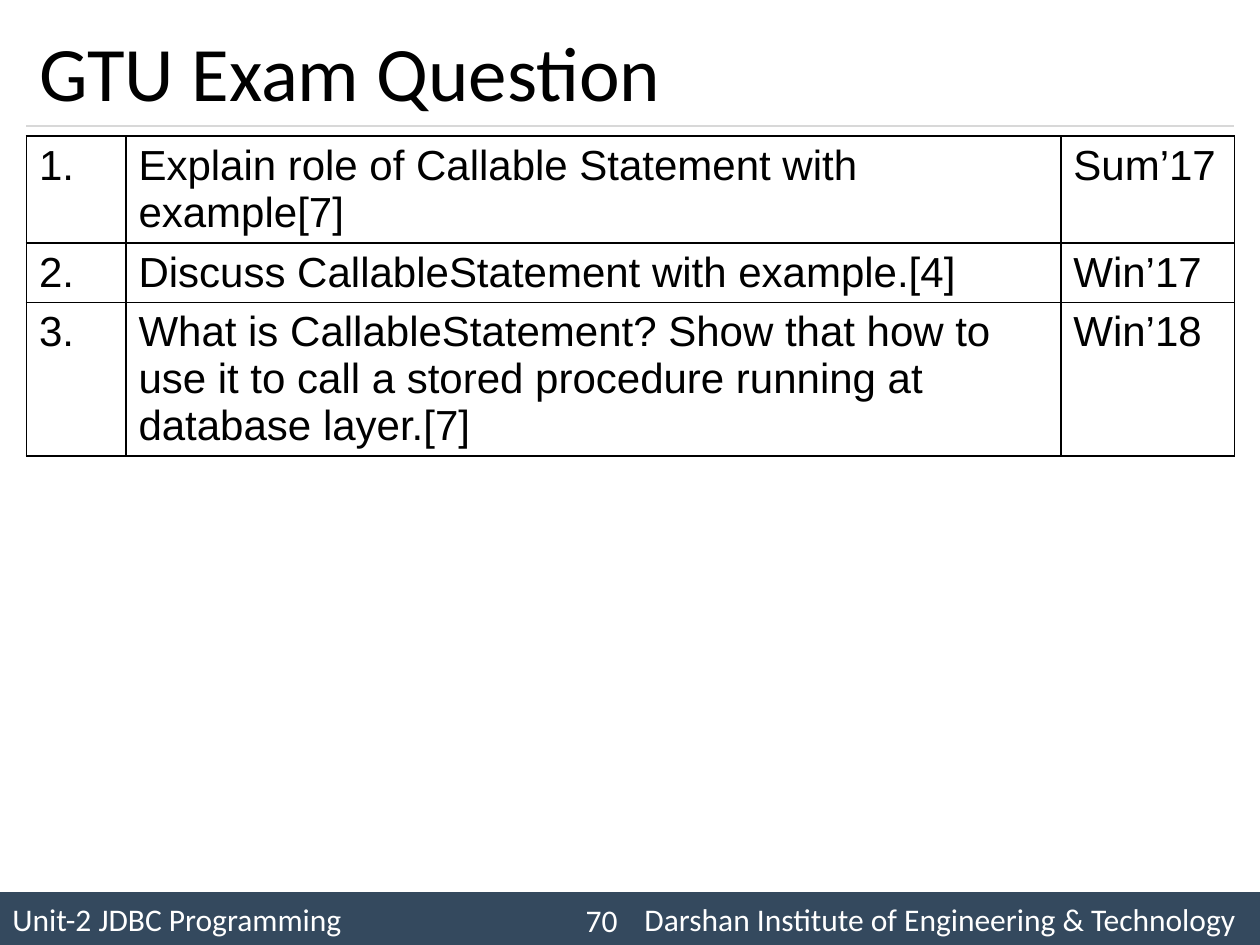
"""Build the exam question slide with its table and footer bar."""
from lxml import etree
from pptx import Presentation
from pptx.dml.color import RGBColor
from pptx.enum.shapes import MSO_CONNECTOR, MSO_SHAPE
from pptx.enum.text import MSO_ANCHOR, PP_ALIGN
from pptx.oxml.ns import qn
from pptx.util import Inches, Pt

LEFT, RIGHT = PP_ALIGN.LEFT, PP_ALIGN.RIGHT
MIDDLE = MSO_ANCHOR.MIDDLE
RECTANGLE = MSO_SHAPE.RECTANGLE
STRAIGHT = MSO_CONNECTOR.STRAIGHT

WIDTH, HEIGHT = 10, 7.5
MARGIN = 0.21
RULE_TOP = 1
TABLE_TOP = 1.08
FOOTER_HEIGHT = 0.42
BLACK, WHITE, NAVY, GREY = "000000", "FFFFFF", "34495E", "D8D8D8"

TITLE = "GTU Exam Question"
QUESTIONS = [
    ("1.", "Explain role of Callable Statement with example[7]", "Sum’17"),
    ("2.", "Discuss CallableStatement with example.[4]", "Win’17"),
    ("3.", "What is CallableStatement? Show that how to use it to call a stored "
           "procedure running at database layer.[7]", "Win’18"),
]
COLUMN_WIDTHS = [0.79, 7.42, 1.38]
ROW_HEIGHTS = [0.85, 0.47, 1.21]
UNIT = "Unit-2 JDBC Programming"
INSTITUTE = "Darshan Institute of Engineering & Technology"
PAGE_NUMBER = "70"


def color(value):
    return RGBColor.from_string(value)


def write(text_frame, text, size, font_name, font_color, alignment=LEFT):
    text_frame.text = text
    text_frame.word_wrap = True
    paragraph = text_frame.paragraphs[0]
    paragraph.alignment = alignment
    for run in paragraph.runs:
        run.font.size = Pt(size)
        run.font.name = font_name
        run.font.color.rgb = color(font_color)
    return paragraph


def add_borders(cell):
    properties = cell._tc.get_or_add_tcPr()
    for side in ("lnL", "lnR", "lnT", "lnB"):
        border = etree.SubElement(properties, qn(f"a:{side}"), w=str(Pt(1)))
        fill = etree.SubElement(border, qn("a:solidFill"))
        etree.SubElement(fill, qn("a:srgbClr"), val=BLACK)


def add_title(slide):
    title = slide.shapes.title
    title.left, title.top = Inches(MARGIN), Inches(0.12)
    title.width, title.height = Inches(WIDTH - 2 * MARGIN), Inches(0.88)
    write(title.text_frame, TITLE, 44, "Calibri", BLACK)
    title.text_frame.vertical_anchor = MIDDLE
    rule = slide.shapes.add_connector(
        STRAIGHT, Inches(MARGIN), Inches(RULE_TOP),
        Inches(WIDTH - MARGIN), Inches(RULE_TOP))
    rule.line.color.rgb = color(GREY)
    rule.line.width = Pt(0.75)
    etree.SubElement(rule._element.spPr, qn("a:effectLst"))


def add_questions(slide):
    table = slide.shapes.add_table(
        len(QUESTIONS), len(COLUMN_WIDTHS), Inches(MARGIN), Inches(TABLE_TOP),
        Inches(sum(COLUMN_WIDTHS)), Inches(sum(ROW_HEIGHTS))).table
    table.first_row = table.horz_banding = False
    for column, width in zip(table.columns, COLUMN_WIDTHS):
        column.width = Inches(width)
    for row, height, question in zip(table.rows, ROW_HEIGHTS, QUESTIONS):
        row.height = Inches(height)
        for cell, text in zip(row.cells, question):
            write(cell.text_frame, text, 24, "Arial", BLACK)
            add_borders(cell)
            cell.fill.background()


def add_footer(slide):
    top = Inches(HEIGHT - FOOTER_HEIGHT)
    bar = slide.shapes.add_shape(
        RECTANGLE, 0, top, Inches(WIDTH), Inches(FOOTER_HEIGHT))
    bar.shadow.inherit = False
    bar.fill.solid()
    bar.fill.fore_color.rgb = color(NAVY)
    bar.line.fill.background()
    bar.text_frame.vertical_anchor = MIDDLE
    paragraph = write(bar.text_frame, f"{UNIT}\t{INSTITUTE}", 18, "Calibri", WHITE)
    tabs = etree.SubElement(paragraph._p.get_or_add_pPr(), qn("a:tabLst"))
    etree.SubElement(tabs, qn("a:tab"), pos=str(Inches(9.71)), algn="r")

    number = slide.shapes.add_textbox(
        Inches(WIDTH / 2 - 0.83), Inches(7.1), Inches(0.83), Inches(0.4))
    number.text_frame.vertical_anchor = MIDDLE
    write(number.text_frame, PAGE_NUMBER, 18, "Calibri", WHITE, RIGHT)


def main():
    presentation = Presentation()
    presentation.slide_width = Inches(WIDTH)
    presentation.slide_height = Inches(HEIGHT)
    slide = presentation.slides.add_slide(presentation.slide_layouts[5])
    add_title(slide)
    add_questions(slide)
    add_footer(slide)
    presentation.save("out.pptx")


if __name__ == "__main__":
    main()
